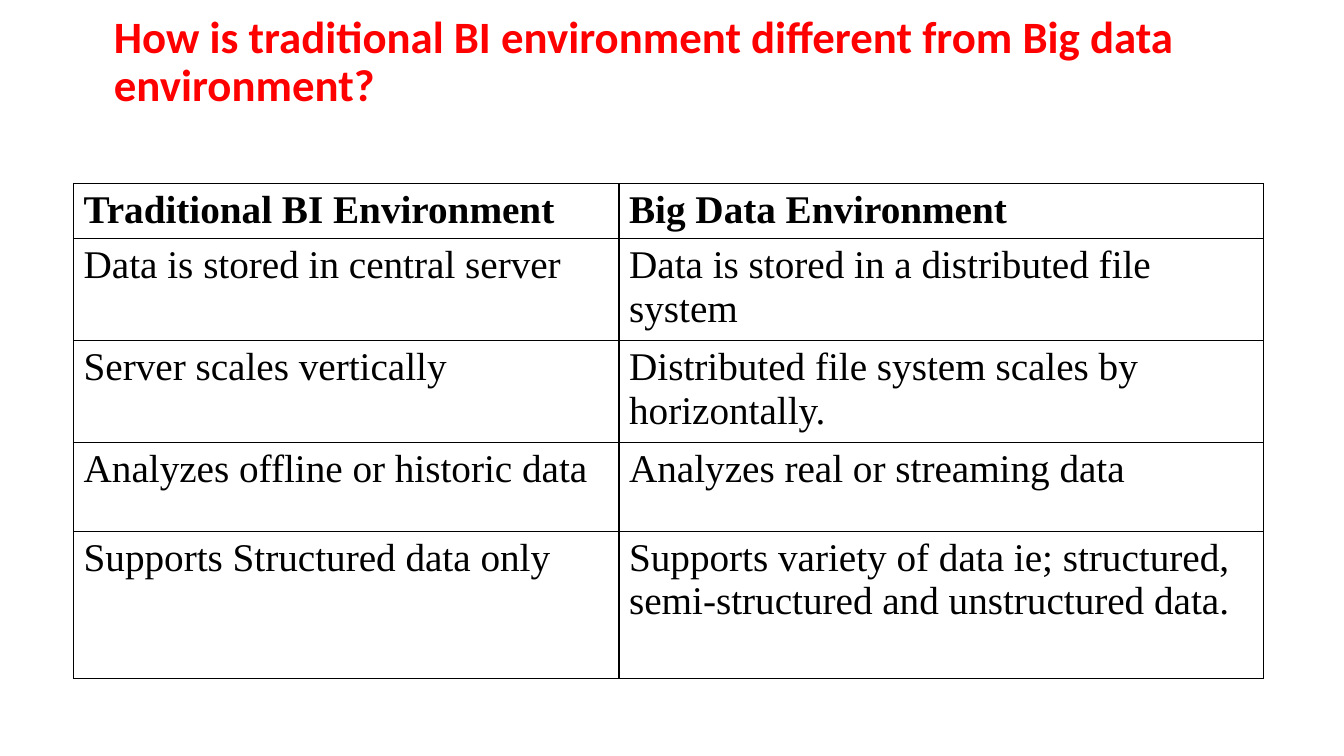
from pptx import Presentation
from pptx.dml.color import RGBColor
from pptx.enum.text import MSO_ANCHOR as Anchor, PP_ALIGN as Align
from pptx.oxml import parse_xml
from pptx.oxml.ns import nsdecls
from pptx.util import Inches, Pt

RED = RGBColor(255, 0, 0)
BLACK = RGBColor(0, 0, 0)
WHITE = RGBColor(255, 255, 255)

TITLE = "How is traditional BI environment different from Big data environment?"
ROWS = [
    ("Traditional BI Environment", "Big Data Environment"),
    ("Data is stored in central server",
     "Data is stored in a distributed file system"),
    ("Server scales vertically",
     "Distributed file system scales by horizontally."),
    ("Analyzes offline or historic data", "Analyzes real or streaming data"),
    ("Supports Structured data only",
     "Supports variety of data ie; structured, semi-structured and "
     "unstructured data."),
]
WIDTHS = (5.41, 6.39)
HEIGHTS = (0.55, 1.01, 1.01, 0.88, 1.46)


def style(para, face, size, color, bold):
    """Set the font of a whole paragraph."""
    font = para.font
    font.name, font.size, font.bold = face, Pt(size), bold
    font.color.rgb = color


def border(cell, color=BLACK, width=1):
    """Draw a solid line on all four sides of a cell."""
    props = cell._tc.get_or_add_tcPr()
    for spot, side in enumerate(("lnL", "lnR", "lnT", "lnB")):
        props.insert(spot, parse_xml(
            f'<a:{side} {nsdecls("a")} w="{Pt(width)}"><a:solidFill>'
            f'<a:srgbClr val="{color}"/></a:solidFill></a:{side}>'))


def add_title(slide, text):
    """Place and format the title."""
    title = slide.shapes.title
    title.left, title.top = Inches(1.03), Inches(0.23)
    title.width, title.height = Inches(11.5), Inches(0.79)
    frame = title.text_frame
    frame.text = text
    frame.word_wrap = True
    frame.vertical_anchor = Anchor.MIDDLE
    para = frame.paragraphs[0]
    para.alignment = Align.LEFT
    para.line_spacing = 0.9
    style(para, "Calibri", 32, RED, True)


def add_grid(slide, rows):
    """Add the comparison table with a bold first row."""
    table = slide.shapes.add_table(
        len(rows), len(WIDTHS), Inches(0.73), Inches(1.82),
        Inches(sum(WIDTHS)), Inches(sum(HEIGHTS))).table
    table.horz_banding = False
    for col, width in zip(table.columns, WIDTHS):
        col.width = Inches(width)
    for r, (row, height) in enumerate(zip(table.rows, HEIGHTS)):
        row.height = Inches(height)
        for cell, text in zip(row.cells, rows[r]):
            cell.text = text
            cell.fill.solid()
            cell.fill.fore_color.rgb = WHITE
            border(cell)
            style(cell.text_frame.paragraphs[0], "Times New Roman", 28,
                  BLACK, r == 0)


def main():
    """Build and save the slide."""
    deck = Presentation()
    deck.slide_width, deck.slide_height = Inches(13.33), Inches(7.5)
    slide = deck.slides.add_slide(deck.slide_layouts[5])
    add_title(slide, TITLE)
    add_grid(slide, ROWS)
    deck.save("out.pptx")


if __name__ == "__main__":
    main()
